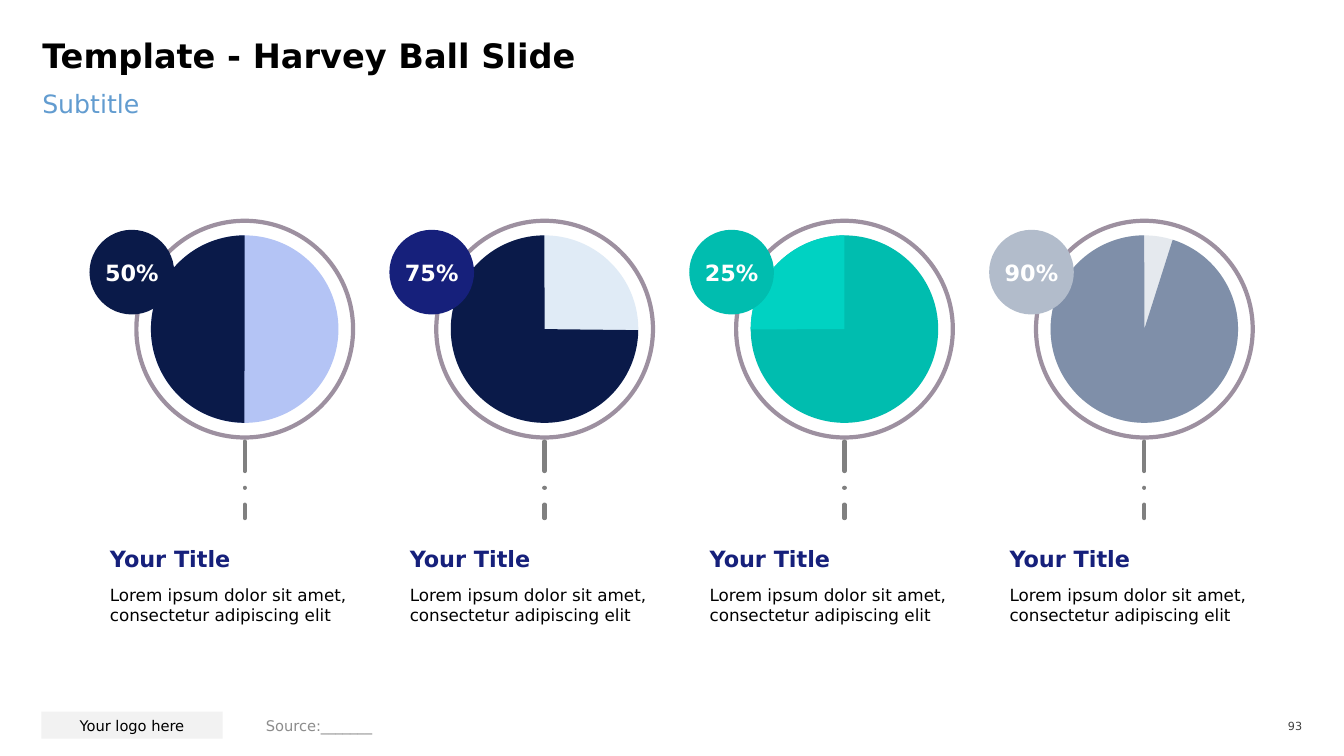
import pptx
import pptx.util
import pptx.dml.color
import pptx.enum.dml
import pptx.enum.shapes
import pptx.enum.text
import pptx.oxml.ns
from lxml import etree

Pt = pptx.util.Pt
SHAPE = pptx.enum.shapes.MSO_SHAPE
ALIGN = pptx.enum.text.PP_ALIGN
ANCHOR = pptx.enum.text.MSO_ANCHOR

FONT = "DejaVu Sans"
COLORS = {
    "black": "000000", "white": "FFFFFF", "subtitle": "629CD0",
    "ring": "9D90A0", "stem": "808080", "heading": "16207B",
    "logo": "F2F2F2", "source": "8C8C8C", "page": "404040",
    "navy": "0A1A49", "periwinkle": "B4C4F5", "indigo": "16207B",
    "ice": "E0EBF6", "teal": "00BDAF", "aqua": "00D2C2",
    "slate": "7F8FA9", "mist": "E5E9EE", "silver": "B2BCCB",
}
HEADING = "Your Title"
DETAIL = "Lorem ipsum dolor sit amet, consectetur adipiscing elit"
# share, first angle of the wedge in degrees, disc, wedge, badge
BALLS = [
    ("50%", 90.25, "periwinkle", "navy", "navy"),
    ("75%", 0.64, "ice", "navy", "indigo"),
    ("25%", 179.81, "teal", "aqua", "teal"),
    ("90%", 287.63, "mist", "slate", "silver"),
]
WEDGE_END = 269.95

PITCH = 214.2
CENTER_X, CENTER_Y = 174.8, 235.1
RING, DISC, BADGE = 154.8, 133.9, 60.5
BADGE_DX, BADGE_Y = -80.6, 194.4
STEM_TOP, STEM_BOTTOM = 315.4, 370.1
TEXT_DX = -96.3

deck = pptx.Presentation()
deck.slide_width, deck.slide_height = Pt(960), Pt(540)
slide = deck.slides.add_slide(deck.slide_layouts[6])


def rgb(name):
    return pptx.dml.color.RGBColor.from_string(COLORS[name])


def write(shape, text, size, color, bold=False, align=ALIGN.LEFT,
          anchor=ANCHOR.TOP, insets=(0, 0, 0, 0), wrap=True):
    frame = shape.text_frame
    frame.word_wrap = wrap
    frame.vertical_anchor = anchor
    (frame.margin_left, frame.margin_top,
     frame.margin_right, frame.margin_bottom) = map(Pt, insets)
    paragraph = frame.paragraphs[0]
    paragraph.text = text
    paragraph.alignment = align
    font = paragraph.font
    font.name, font.size, font.bold = FONT, Pt(size), bold
    font.color.rgb = rgb(color)
    return paragraph


def label(box, *args, **kwargs):
    return write(slide.shapes.add_textbox(*map(Pt, box)), *args, **kwargs)


def filled(kind, box, fill=None):
    """Add a shape without outline or shadow; no fill name leaves it hollow."""
    shape = slide.shapes.add_shape(kind, *map(Pt, box))
    shape.shadow.inherit = False
    shape.line.fill.background()
    if fill:
        shape.fill.solid()
        shape.fill.fore_color.rgb = rgb(fill)
    else:
        shape.fill.background()
    return shape


def square(x, y, side):
    """Box of the given side centred on x, y."""
    return x - side / 2, y - side / 2, side, side


def add_ball(x, share, wedge_start, disc, wedge, badge):
    ring = filled(SHAPE.OVAL, square(x, CENTER_Y, RING))
    ring.line.color.rgb = rgb("ring")
    ring.line.width = Pt(3)
    filled(SHAPE.OVAL, square(x, CENTER_Y, DISC), disc)
    pie = filled(SHAPE.PIE, square(x, CENTER_Y, DISC), wedge)
    # python-pptx scales by 100000, angles count 60000 to the degree
    pie.adjustments[0] = wedge_start * 0.6
    pie.adjustments[1] = WEDGE_END * 0.6
    badge_x = x + BADGE_DX
    filled(SHAPE.OVAL, square(badge_x, BADGE_Y, BADGE), badge)
    label((badge_x - 29.2, BADGE_Y - 13, 58.4, 26.6), share, 16, "white", bold=True,
          align=ALIGN.CENTER, anchor=ANCHOR.MIDDLE,
          insets=(7.2, 3.6, 7.2, 3.6), wrap=False)


def add_stem(x):
    stem = slide.shapes.add_connector(
        pptx.enum.shapes.MSO_CONNECTOR.STRAIGHT,
        Pt(x), Pt(STEM_TOP), Pt(x), Pt(STEM_BOTTOM))
    stem.line.color.rgb = rgb("stem")
    stem.line.width = Pt(3)
    stem.line.dash_style = pptx.enum.dml.MSO_LINE.LONG_DASH_DOT
    stem.line._get_or_add_ln().set("cap", "rnd")
    etree.SubElement(stem._element.spPr, pptx.oxml.ns.qn("a:effectLst"))


title = label((30.2, 30.2, 899.3, 38.2), "Template - Harvey Ball Slide", 24,
              "black", bold=True)
title.line_spacing = 0.8
label((30.2, 63.4, 899.3, 45.4), "Subtitle", 18, "subtitle")

for column, ball in enumerate(BALLS):
    x = CENTER_X + column * PITCH
    add_ball(x, *ball)
    add_stem(x)
    label((x + TEXT_DX, 385.9, 147.5, 26.6), HEADING, 16, "heading", bold=True,
          insets=(0, 3.6, 7.2, 3.6))
    label((x + TEXT_DX, 414, 190.8, 66.2), DETAIL, 12, "black",
          insets=(0, 3.6, 0, 3.6))

logo = filled(SHAPE.RECTANGLE, (29.5, 508.3, 129.6, 19.4), "logo")
write(logo, "Your logo here", 10.5, "black", align=ALIGN.CENTER,
      anchor=ANCHOR.MIDDLE, insets=(7.2, 7.2, 7.2, 7.2))
label((182.9, 509, 460.1, 18.7), "Source:_______", 10.5, "source",
      anchor=ANCHOR.MIDDLE, insets=(7.2, 3.6, 7.2, 3.6))
label((900, 510.5, 30.2, 16.6), "93", 8, "page", align=ALIGN.RIGHT,
      anchor=ANCHOR.MIDDLE)

deck.save("out.pptx")
